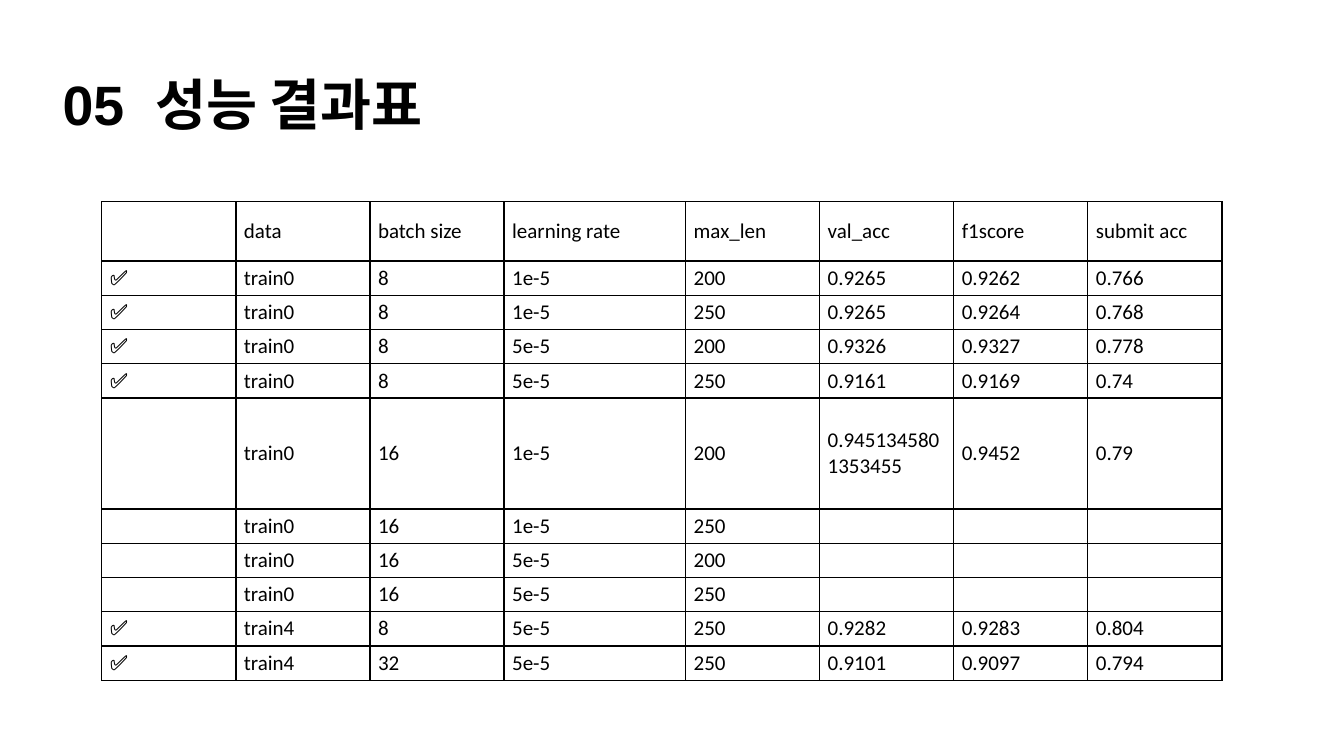
from lxml.etree import SubElement
from pptx import Presentation
from pptx.dml.color import RGBColor
from pptx.enum.text import MSO_ANCHOR
from pptx.oxml.ns import qn
from pptx.util import Inches, Pt

COLORS = {"ink": "000000", "paper": "FFFFFF"}
PAGE_WIDTH, PAGE_HEIGHT = 13.33, 7.5
MARGIN_X, MARGIN_Y = 0.08, 0.04
COLUMN, WIDE_COLUMN = 1.33, 1.8
ROW, HEADER_ROW, TALL_ROW = 0.34, 0.59, 1.1
BODY_SIZE = 15
DONE = "✅"

RESULTS = [
    ("", "data", "batch size", "learning rate", "max_len", "val_acc", "f1score", "submit acc"),
    (DONE, "train0", "8", "1e-5", "200", "0.9265", "0.9262", "0.766"),
    (DONE, "train0", "8", "1e-5", "250", "0.9265", "0.9264", "0.768"),
    (DONE, "train0", "8", "5e-5", "200", "0.9326", "0.9327", "0.778"),
    (DONE, "train0", "8", "5e-5", "250", "0.9161", "0.9169", "0.74"),
    ("", "train0", "16", "1e-5", "200", "0.9451345801353455", "0.9452", "0.79"),
    ("", "train0", "16", "1e-5", "250", "", "", ""),
    ("", "train0", "16", "5e-5", "200", "", "", ""),
    ("", "train0", "16", "5e-5", "250", "", "", ""),
    (DONE, "train4", "8", "5e-5", "250", "0.9282", "0.9283", "0.804"),
    (DONE, "train4", "32", "5e-5", "250", "0.9101", "0.9097", "0.794"),
]
COLUMN_WIDTHS = [WIDE_COLUMN if name == "learning rate" else COLUMN for name in RESULTS[0]]
ROW_HEIGHTS = [HEADER_ROW] + [ROW] * 4 + [TALL_ROW] + [ROW] * 5


def add_span(para, text, font, size, bold=False):
    span = para.add_run()
    span.text = text
    span.font.name = font
    span.font.size = Pt(size)
    span.font.bold = bold
    span.font.color.rgb = RGBColor.from_string(COLORS["ink"])


def add_tab_stop(para, position):
    tabs = SubElement(para._p.get_or_add_pPr(), qn("a:tabLst"))
    SubElement(tabs, qn("a:tab"), pos=str(Inches(position)), algn="l")


def add_title(page, number, heading):
    box = page.shapes.add_textbox(Inches(0.45), Inches(0.65), Inches(12.42), Inches(0.84))
    frame = box.text_frame
    frame.word_wrap = True
    frame.vertical_anchor = MSO_ANCHOR.MIDDLE
    frame.margin_left = Inches(0.17)
    frame.margin_right = frame.margin_top = frame.margin_bottom = Inches(0.13)
    para = frame.paragraphs[0]
    para.line_spacing = 0.9
    add_tab_stop(para, 0.92)
    add_span(para, f"{number}\t{heading}", "Arial", 39.6, bold=True)


def set_borders(cell, width):
    """Draw all four cell edges; the edges must precede the fill in the XML."""
    properties = cell._tc.get_or_add_tcPr()
    for edge in ("a:lnL", "a:lnR", "a:lnT", "a:lnB"):
        line = SubElement(properties, qn(edge), w=str(Pt(width)))
        fill = SubElement(line, qn("a:solidFill"))
        SubElement(fill, qn("a:srgbClr"), val=COLORS["ink"])


def fill_cell(cell, text):
    set_borders(cell, 1)
    cell.fill.solid()
    cell.fill.fore_color.rgb = RGBColor.from_string(COLORS["paper"])
    cell.vertical_anchor = MSO_ANCHOR.MIDDLE
    cell.margin_left = cell.margin_right = Inches(MARGIN_X)
    cell.margin_top = cell.margin_bottom = Inches(MARGIN_Y)
    para = cell.text_frame.paragraphs[0]
    if text:
        add_span(para, text, "Calibri", BODY_SIZE)
    else:
        # Keeps an empty cell from stretching its row
        SubElement(para._p, qn("a:endParaRPr"), sz=str(BODY_SIZE * 100))


def add_results_table(page, left, top):
    frame = page.shapes.add_table(
        len(RESULTS), len(COLUMN_WIDTHS), Inches(left), Inches(top),
        Inches(sum(COLUMN_WIDTHS)), Inches(sum(ROW_HEIGHTS)))
    table = frame.table
    table.first_row = table.horz_banding = False
    for column, width in zip(table.columns, COLUMN_WIDTHS):
        column.width = Inches(width)
    for row, height, values in zip(table.rows, ROW_HEIGHTS, RESULTS):
        row.height = Inches(height)
        for cell, value in zip(row.cells, values):
            fill_cell(cell, value)


def main():
    deck = Presentation()
    deck.slide_width, deck.slide_height = Inches(PAGE_WIDTH), Inches(PAGE_HEIGHT)
    page = deck.slides.add_slide(deck.slide_layouts[6])
    add_title(page, "05", "성능 결과표")
    add_results_table(page, 1.01, 2)
    deck.save("out.pptx")


if __name__ == "__main__":
    main()
